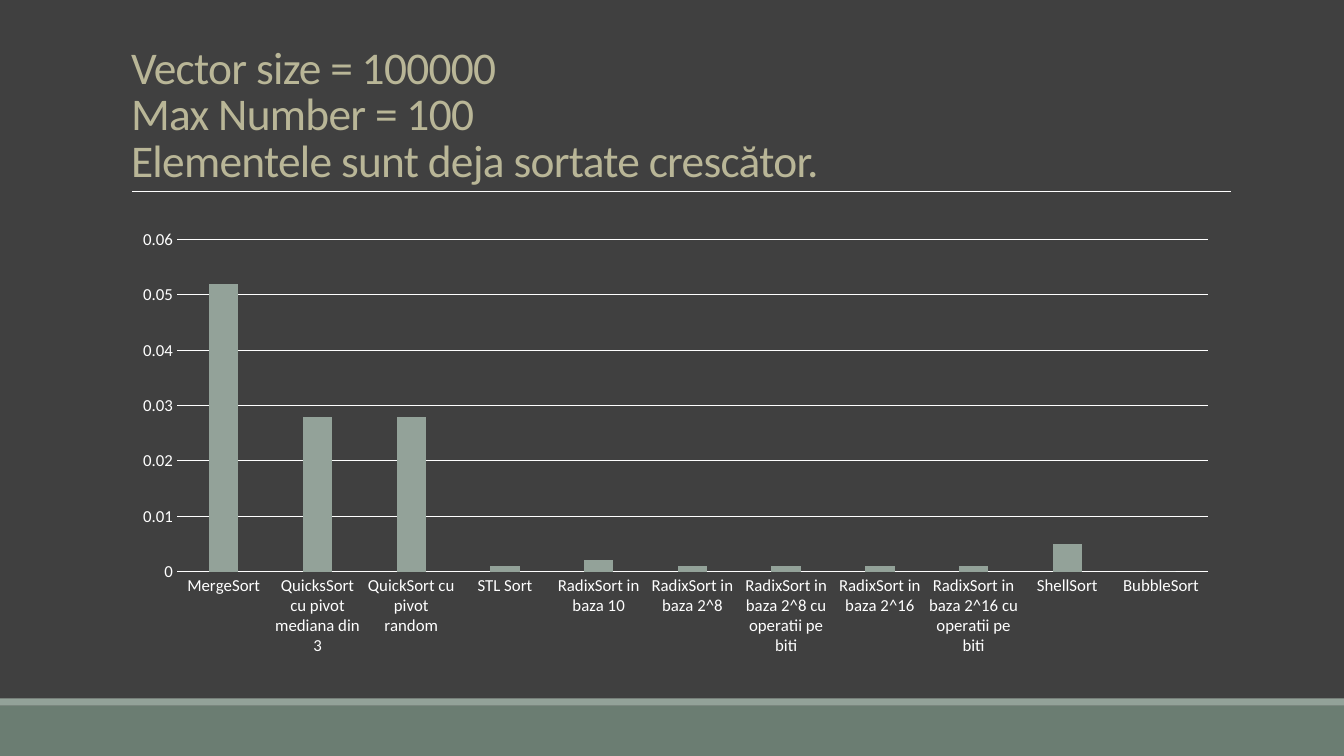
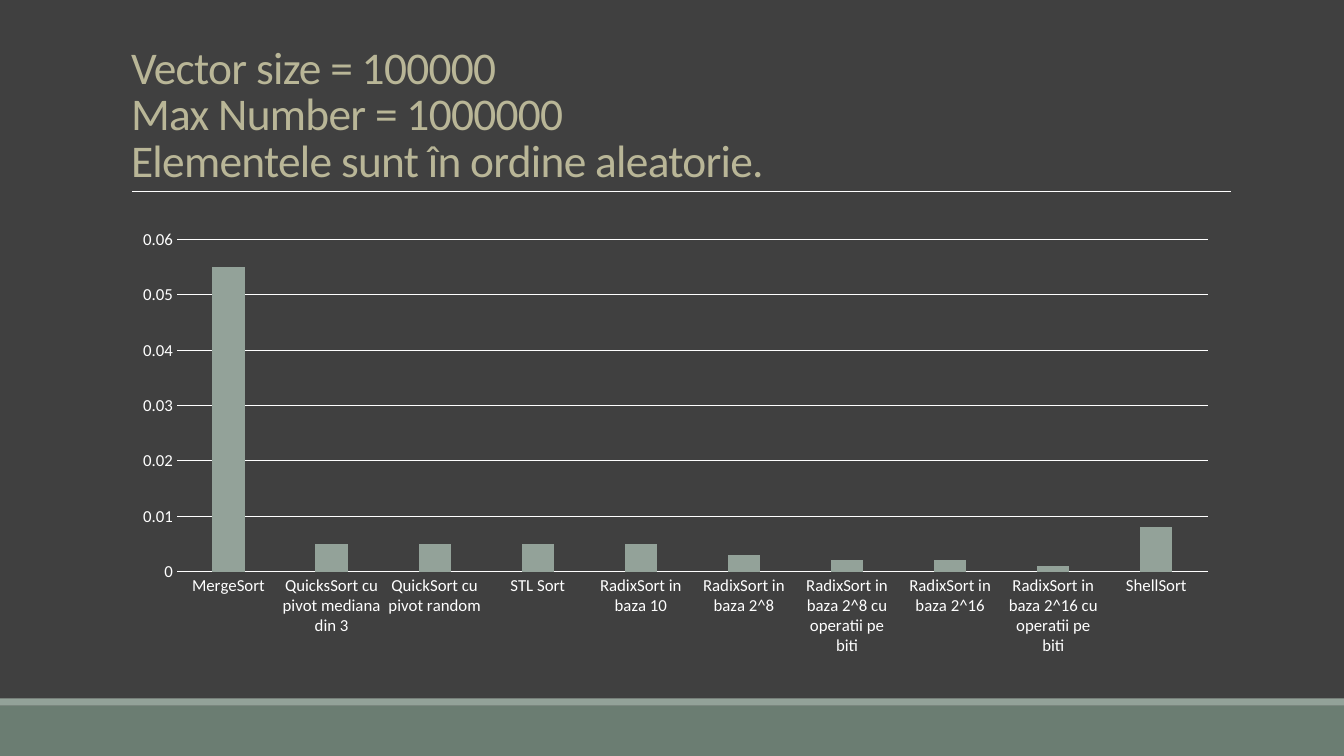
"""Build two slides comparing the running times of sorting algorithms."""
from lxml import etree
from pptx import Presentation
from pptx.chart.data import CategoryChartData
from pptx.dml.color import RGBColor
from pptx.enum.chart import XL_CHART_TYPE, XL_TICK_MARK
from pptx.enum.shapes import MSO_CONNECTOR, MSO_SHAPE
from pptx.enum.text import MSO_ANCHOR, MSO_AUTO_SIZE, PP_ALIGN
from pptx.oxml.ns import qn
from pptx.util import Inches, Pt

COLUMNS = XL_CHART_TYPE.COLUMN_CLUSTERED
NO_TICK = XL_TICK_MARK.NONE
RECTANGLE = MSO_SHAPE.RECTANGLE
STRAIGHT = MSO_CONNECTOR.STRAIGHT
BOTTOM = MSO_ANCHOR.BOTTOM
NO_AUTOFIT = MSO_AUTO_SIZE.NONE
LEFT = PP_ALIGN.LEFT

FONT = "Calibri"
COLORS = {
    "background": "404040",
    "footer": "6B7D72",
    "accent": "93A299",
    "title": "B9B697",
    "light": "FFFFFF",
}
SLIDE_WIDTH, SLIDE_HEIGHT = 13.33, 7.5
TITLE_BOX = (1.2, 0.31, 11, 1.59)
CHART_BOX = (1.2, 2.19, 11, 4.4)
FOOTER_BOX = (0, 6.93, SLIDE_WIDTH, 0.57)

ALGORITHMS = [
    "MergeSort",
    "QuicksSort cu pivot mediana din 3",
    "QuickSort cu pivot random",
    "STL Sort",
    "RadixSort in baza 10",
    "RadixSort in baza 2^8",
    "RadixSort in baza 2^8 cu operatii pe biti",
    "RadixSort in baza 2^16",
    "RadixSort in baza 2^16 cu operatii pe biti",
    "ShellSort",
    "BubbleSort",
]
SLIDES = [
    (
        ["Vector size = 100000", "Max Number = 100",
         "Elementele sunt deja sortate crescător."],
        [0.052, 0.028, 0.028, 0.001, 0.002, 0.001, 0.001, 0.001, 0.001, 0.005, 0],
    ),
    (
        ["Vector size = 100000", "Max Number = 1000000",
         "Elementele sunt în ordine aleatorie."],
        [0.055, 0.005, 0.005, 0.005, 0.005, 0.003, 0.002, 0.002, 0.001, 0.008],
    ),
]


def color(name):
    """Return the palette colour with the given name."""
    return RGBColor.from_string(COLORS[name])


def style_line(line, width):
    """Give a line the light colour and a width in points."""
    line.color.rgb = color("light")
    line.width = Pt(width)


def style_font(font, size, color_name):
    """Apply the deck font with a size and a palette colour."""
    font.name = FONT
    font.size = Pt(size)
    font.color.rgb = color(color_name)


def add_band(page, box, fill):
    """Add a plain filled rectangle."""
    band = page.shapes.add_shape(RECTANGLE, *map(Inches, box))
    band.shadow.inherit = False
    band.fill.solid()
    band.fill.fore_color.rgb = color(fill)
    band.line.fill.background()


def add_footer(page, box):
    """Add the footer band with its thin accent stripe on top."""
    left, top, width, height = box
    stripe = 0.07
    add_band(page, (left, top + stripe, width, height - stripe), "footer")
    add_band(page, (left, top, width, stripe), "accent")


def add_title(page, box, lines):
    """Place the title at the bottom of its box, with a rule below it."""
    left, top, width, height = box
    title = page.shapes.title
    title.left, title.top, title.width, title.height = map(Inches, box)
    frame = title.text_frame
    frame.auto_size = NO_AUTOFIT
    frame.word_wrap = True
    frame.vertical_anchor = BOTTOM
    para = frame.paragraphs[0]
    para.alignment = LEFT
    para.line_spacing = 0.85
    style_font(para.font, 32.4, "title")
    for index, line in enumerate(lines):
        if index:
            para.add_line_break()
        span = para.add_run()
        span.text = line
        style_font(span.font, 32.4, "title")
        span._r.get_or_add_rPr().set("spc", "-50")

    start, bottom = left + 0.11, top + height
    rule = page.shapes.add_connector(
        STRAIGHT, Inches(start), Inches(bottom),
        Inches(start + width - 0.1), Inches(bottom))
    style_line(rule.line, 0.5)
    etree.SubElement(rule._element.spPr, qn("a:effectLst"))


def add_time_chart(page, box, times):
    """Add the column chart of running time per algorithm."""
    data = CategoryChartData()
    data.categories = ALGORITHMS[:len(times)]
    data.add_series("Series 1", times)
    chart = page.shapes.add_chart(COLUMNS, *map(Inches, box), data).chart
    chart.has_title = False
    chart.has_legend = False
    style_font(chart.font, 10, "light")

    plot = chart.plots[0]
    plot.gap_width = 219
    plot.overlap = -27
    plot.vary_by_categories = False
    fill = plot.series[0].format.fill
    fill.solid()
    fill.fore_color.rgb = color("accent")

    for axis in (chart.category_axis, chart.value_axis):
        axis.major_tick_mark = NO_TICK
        axis.minor_tick_mark = NO_TICK
        style_font(axis.tick_labels.font, 12, "light")
    style_line(chart.category_axis.format.line, 0.75)

    values = chart.value_axis
    values.minimum_scale, values.maximum_scale = 0, 0.06
    values.major_unit = 0.01
    values.tick_labels.number_format = "General"
    values.tick_labels.number_format_is_linked = False
    values.format.line.fill.background()
    values.has_major_gridlines = True
    style_line(values.major_gridlines.format.line, 0.75)


def add_result_slide(deck, lines, times):
    """Add one slide with a title, a chart and the footer."""
    page = deck.slides.add_slide(deck.slide_layouts[5])
    add_footer(page, FOOTER_BOX)
    add_title(page, TITLE_BOX, lines)
    add_time_chart(page, CHART_BOX, times)


def main():
    """Build and save the deck."""
    deck = Presentation()
    deck.slide_width = Inches(SLIDE_WIDTH)
    deck.slide_height = Inches(SLIDE_HEIGHT)
    background = deck.slide_master.background.fill
    background.solid()
    background.fore_color.rgb = color("background")
    for lines, times in SLIDES:
        add_result_slide(deck, lines, times)
    deck.save("out.pptx")


if __name__ == "__main__":
    main()
